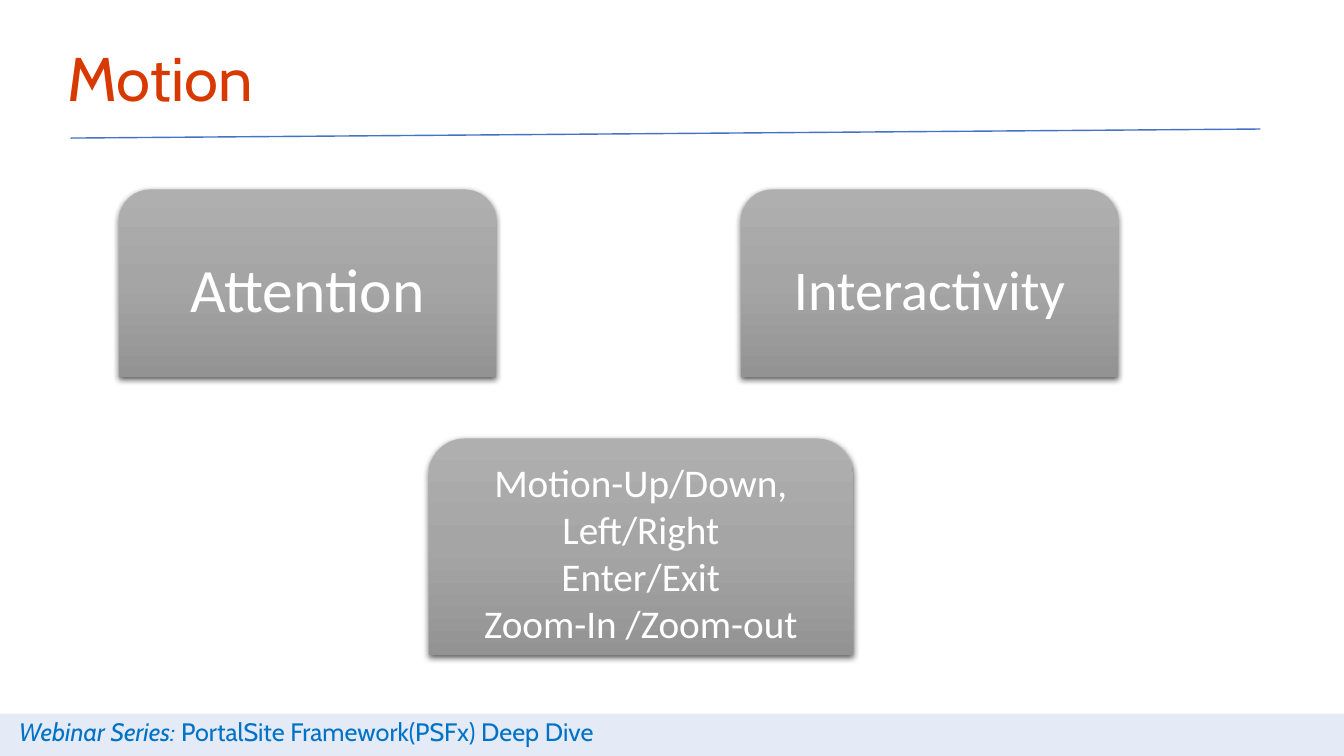
from copy import deepcopy
from dataclasses import dataclass

from lxml import etree
from pptx import Presentation
from pptx.dml.color import RGBColor
from pptx.enum import shapes, text
from pptx.oxml import parse_xml
from pptx.oxml.ns import nsdecls, qn
from pptx.util import Inches, Pt

WHITE, BLUE, FOOTER_BLUE, ORANGE = "FFFFFF", "4472C4", "0072C6", "D83900"
CARD_GRADIENT = [(0, "AFAFAF"), (0.5, "A5A5A5"), (1, "939393")]
TITLE_ONLY = 5


@dataclass
class Card:
    left: float
    top: float
    width: float
    height: float
    size: int
    lines: list[str]


CARDS = [
    Card(1.18, 1.88, 3.74, 1.86, 44, ["Attention"]),
    Card(7.35, 1.88, 3.74, 1.86, 40, ["Interactivity"]),
    Card(4.25, 4.35, 4.21, 2.15, 28,
         ["Motion-Up/Down, Left/Right", "Enter/Exit", "Zoom-In /Zoom-out"]),
]


def rgb(color: str) -> RGBColor:
    return RGBColor.from_string(color)


def add_run(paragraph, words: str, size: float, font: str, color: str, italic: bool = False) -> None:
    run = paragraph.add_run()
    run.text = words
    run.font.size = Pt(size)
    run.font.name = font
    run.font.italic = italic
    run.font.color.rgb = rgb(color)


def fill_gradient(shape, stops: list[tuple[float, str]]) -> None:
    """Fill from top to bottom through any number of stops."""
    fill = shape.fill
    fill.gradient()
    fill.gradient_angle = 270
    stop_list = shape._element.spPr.find(".//" + qn("a:gsLst"))
    for _ in range(len(stops) - len(stop_list)):
        stop_list.append(deepcopy(stop_list[0]))
    for stop, (position, color) in zip(fill.gradient_stops, stops):
        stop.position = position
        stop.color.rgb = rgb(color)


def add_shadow(shape) -> None:
    shape.shadow.inherit = False
    shape._element.spPr.find(qn("a:effectLst")).append(parse_xml(
        f'<a:outerShdw {nsdecls("a")} blurRad="{Pt(4.5)}" dist="{Pt(1.5)}" dir="5400000" '
        'algn="ctr" rotWithShape="0"><a:srgbClr val="000000"><a:alpha val="63000"/>'
        '</a:srgbClr></a:outerShdw>'))


def add_card(slide, card: Card) -> None:
    shape = slide.shapes.add_shape(
        shapes.MSO_SHAPE.ROUND_2_SAME_RECTANGLE,
        Inches(card.left), Inches(card.top), Inches(card.width), Inches(card.height))
    fill_gradient(shape, CARD_GRADIENT)
    shape.line.fill.background()
    add_shadow(shape)
    frame = shape.text_frame
    frame.word_wrap = True
    frame.vertical_anchor = text.MSO_ANCHOR.MIDDLE
    for index, line in enumerate(card.lines):
        paragraph = frame.add_paragraph() if index else frame.paragraphs[0]
        paragraph.alignment = text.PP_ALIGN.CENTER
        add_run(paragraph, line, card.size, "Calibri", WHITE)


def add_footer(slide) -> None:
    band = slide.shapes.add_shape(
        shapes.MSO_SHAPE.RECTANGLE, 0, Inches(7.08), Inches(13.33), Inches(0.42))
    band.shadow.inherit = False
    band.line.fill.background()
    band.fill.solid()
    band.fill.fore_color.rgb = rgb(BLUE)
    color = band._element.spPr.find(qn("a:solidFill"))[0]
    etree.SubElement(color, qn("a:alpha"), val="14000")

    caption = slide.shapes.add_textbox(Inches(0.09), Inches(7.06), Inches(7.14), Inches(0.4))
    caption.text_frame.word_wrap = True
    paragraph = caption.text_frame.paragraphs[0]
    add_run(paragraph, "Webinar Series: ", 18, "Cabin", FOOTER_BLUE, italic=True)
    add_run(paragraph, "PortalSite Framework(PSFx) Deep Dive", 18, "Cabin", FOOTER_BLUE)


def add_title(slide) -> None:
    title = slide.shapes.title
    title.left, title.top = Inches(0.57), Inches(0.46)
    title.width, title.height = Inches(7.52), Inches(0.7)
    frame = title.text_frame
    frame.word_wrap = True
    frame.auto_size = text.MSO_AUTO_SIZE.NONE
    frame.vertical_anchor = text.MSO_ANCHOR.MIDDLE
    paragraph = frame.paragraphs[0]
    paragraph.alignment = text.PP_ALIGN.LEFT
    paragraph.line_spacing = 0.9
    add_run(paragraph, "Motion", 44, "Cabin", ORANGE)


def add_title_rule(slide) -> None:
    rule = slide.shapes.add_connector(
        shapes.MSO_CONNECTOR.STRAIGHT, Inches(0.7), Inches(1.37), Inches(12.5), Inches(1.28))
    rule.line.color.rgb = rgb(BLUE)
    rule.line.width = Pt(1)
    etree.SubElement(rule._element.spPr, qn("a:effectLst"))


def main() -> None:
    presentation = Presentation()
    presentation.slide_width = Inches(13.33)
    presentation.slide_height = Inches(7.5)
    slide = presentation.slides.add_slide(presentation.slide_layouts[TITLE_ONLY])
    add_footer(slide)
    add_title(slide)
    add_title_rule(slide)
    for card in CARDS:
        add_card(slide, card)
    presentation.save("out.pptx")


if __name__ == "__main__":
    main()
